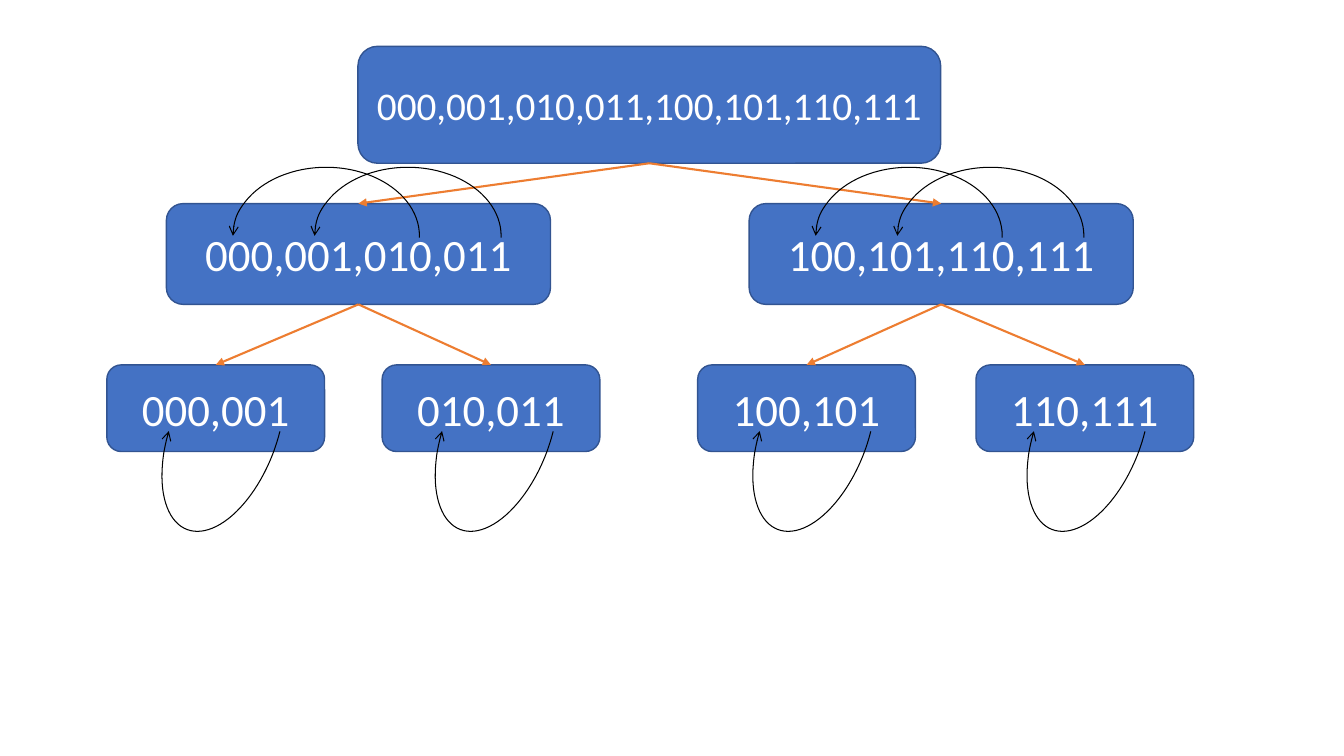
from dataclasses import dataclass

from lxml import etree
from pptx import Presentation
from pptx.dml.color import RGBColor
from pptx.enum.shapes import MSO_CONNECTOR, MSO_SHAPE
from pptx.enum.text import MSO_ANCHOR, PP_ALIGN
from pptx.oxml.ns import qn
from pptx.util import Inches, Pt

ROUNDED = MSO_SHAPE.ROUNDED_RECTANGLE
ARC = MSO_SHAPE.ARC
STRAIGHT = MSO_CONNECTOR.STRAIGHT
CENTER = PP_ALIGN.CENTER
MIDDLE = MSO_ANCHOR.MIDDLE
TOP_SITE, BOTTOM_SITE = 0, 2


@dataclass(frozen=True)
class Theme:
    font: str = "Calibri"
    root_size: int = 28
    node_size: int = 32
    text: RGBColor = RGBColor(0xFF, 0xFF, 0xFF)
    node: RGBColor = RGBColor(0x44, 0x72, 0xC4)
    border: RGBColor = RGBColor(0x32, 0x54, 0x91)
    branch: RGBColor = RGBColor(0xED, 0x7D, 0x31)
    swap: RGBColor = RGBColor(0, 0, 0)


THEME = Theme()

ROOT = ("000,001,010,011,100,101,110,111", (3.55, 0.46, 5.78, 1.16))
# Each half: label, left edge, and its leaves as (label, left edge, loop offset)
HALVES = [
    ("000,001,010,011", 1.65, [("000,001", 1.06, 0.15), ("010,011", 3.79, 0.13)]),
    ("100,101,110,111", 7.43, [("100,101", 6.92, 0.15), ("110,111", 9.68, 0.11)]),
]
HALF_TOP, HALF_WIDTH, HALF_HEIGHT = 2.02, 3.81, 1.0
LEAF_TOP, LEAF_WIDTH, LEAF_HEIGHT = 3.62, 2.16, 0.86
HOP_OFFSETS = (0.66, 1.47)
HOP_ANGLES = (107.37, 0)
LOOP_ANGLES = (147.17, 43.76)


def style_line(shape, color, width, arrowhead=None):
    shape.line.color.rgb = color
    shape.line.width = Pt(width)
    if arrowhead:
        line = shape.line._get_or_add_ln()
        etree.SubElement(line, qn("a:tailEnd"), type=arrowhead)


def add_node(slide, label, box, size):
    node = slide.shapes.add_shape(ROUNDED, *map(Inches, box))
    node.shadow.inherit = False
    node.fill.solid()
    node.fill.fore_color.rgb = THEME.node
    style_line(node, THEME.border, 1)
    frame = node.text_frame
    frame.word_wrap = True
    frame.vertical_anchor = MIDDLE
    frame.text = label
    paragraph = frame.paragraphs[0]
    paragraph.alignment = CENTER
    font = paragraph.runs[0].font
    font.name = THEME.font
    font.size = Pt(size)
    font.color.rgb = THEME.text
    return node


def add_branch(slide, parent, child):
    branch = slide.shapes.add_connector(STRAIGHT, 0, 0, 0, 0)
    branch.begin_connect(parent, BOTTOM_SITE)
    branch.end_connect(child, TOP_SITE)
    style_line(branch, THEME.branch, 1.5, "triangle")
    etree.SubElement(branch._element.spPr, qn("a:effectLst"))


def add_swap_arc(slide, box, angles):
    arc = slide.shapes.add_shape(ARC, *map(Inches, box))
    arc.shadow.inherit = False
    arc.fill.background()
    arc.adjustments[0], arc.adjustments[1] = angles
    style_line(arc, THEME.swap, 0.75, "arrow")
    return arc


def add_hops(slide, left, top):
    """Draw the two arrows that pair the values across a half."""
    for offset in HOP_OFFSETS:
        hop = add_swap_arc(slide, (left + offset, top - 0.36, 1.85, 1.36), HOP_ANGLES)
        hop._element.spPr.find(qn("a:xfrm")).set("flipH", "1")


def add_loop(slide, left, top):
    """Draw the arrow that pairs the two values of a leaf."""
    loop = add_swap_arc(slide, (left, top + 0.17, 2.01, 1.05), LOOP_ANGLES)
    loop.rotation = 111.1


def add_leaf(slide, parent, label, box, loop_offset):
    left, top = box[:2]
    leaf = add_node(slide, label, box, THEME.node_size)
    add_branch(slide, parent, leaf)
    add_loop(slide, left + loop_offset, top)


def add_half(slide, root, label, box, leaves):
    left, top = box[:2]
    half = add_node(slide, label, box, THEME.node_size)
    add_branch(slide, root, half)
    for leaf_label, leaf_left, loop_offset in leaves:
        leaf_box = (leaf_left, LEAF_TOP, LEAF_WIDTH, LEAF_HEIGHT)
        add_leaf(slide, half, leaf_label, leaf_box, loop_offset)
    add_hops(slide, left, top)


def add_tree(slide):
    root = add_node(slide, *ROOT, THEME.root_size)
    for label, left, leaves in HALVES:
        add_half(slide, root, label, (left, HALF_TOP, HALF_WIDTH, HALF_HEIGHT), leaves)


def main():
    presentation = Presentation()
    presentation.slide_width = Inches(13.33)
    presentation.slide_height = Inches(7.5)
    slide = presentation.slides.add_slide(presentation.slide_layouts[6])
    add_tree(slide)
    presentation.save("out.pptx")


if __name__ == "__main__":
    main()
